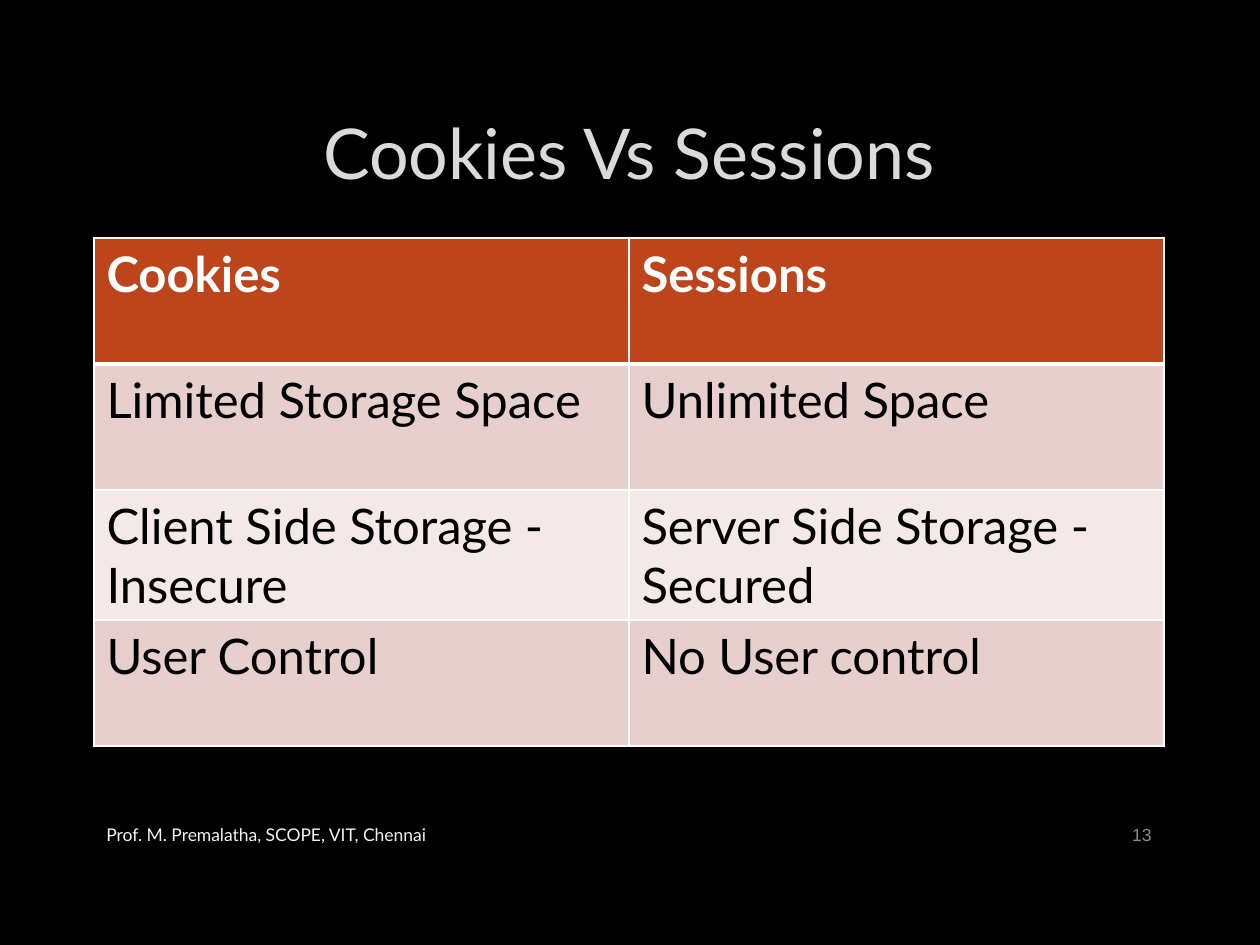
from lxml import etree
from pptx import Presentation
from pptx import util as u
from pptx.dml.color import RGBColor
from pptx.enum import text
from pptx.oxml.ns import qn

TITLE = "Cookies Vs Sessions"
ROWS = [
    ("Cookies", "Sessions"),
    ("Limited Storage Space", "Unlimited Space"),
    ("Client Side Storage - Insecure", "Server Side Storage - Secured"),
    ("User Control", "No User control"),
]
FOOTER = "Prof. M. Premalatha, SCOPE, VIT, Chennai"
PAGE = "13"

BLACK = RGBColor(0, 0, 0)
WHITE = RGBColor(0xFF, 0xFF, 0xFF)
TITLE_GREY = RGBColor(0xDA, 0xDA, 0xDA)
FOOTER_GREY = RGBColor(0xF2, 0xF2, 0xF2)
PAGE_GREY = RGBColor(0x89, 0x89, 0x89)
HEADER_FILL = RGBColor(0xBC, 0x45, 0x1B)
BAND_FILLS = [RGBColor(0xF3, 0xE9, 0xE8), RGBColor(0xE7, 0xCF, 0xCD)]

PX = 914400 // 126
LEFT, WIDTH = 94, 1070
ROW_HEIGHTS = [126, 126, 130, 126]


def px(*lengths):
    return [u.Emu(n * PX) for n in lengths]


def format_text(frame, size, color, font="Lato", align=text.PP_ALIGN.LEFT, bold=False):
    paragraph = frame.paragraphs[0]
    paragraph.alignment = align
    for run in paragraph.runs:
        run.font.name = font
        run.font.size = u.Pt(size)
        run.font.bold = bold
        run.font.color.rgb = color


def add_border(cell, side, points):
    line = etree.SubElement(cell._tc.get_or_add_tcPr(), qn("a:" + side), w=str(u.Pt(points)))
    fill = etree.SubElement(line, qn("a:solidFill"))
    etree.SubElement(fill, qn("a:srgbClr"), val=str(WHITE))


def add_note(slide, words, left, width, **style):
    frame = slide.shapes.add_textbox(*px(left, 810, width, 50)).text_frame
    frame.word_wrap = True
    frame.vertical_anchor = text.MSO_ANCHOR.MIDDLE
    frame.text = words
    format_text(frame, 10, **style)


def main():
    deck = Presentation()
    deck.slide_width, deck.slide_height = px(1260, 945)
    slide = deck.slides.add_slide(deck.slide_layouts[5])
    slide.background.fill.solid()
    slide.background.fill.fore_color.rgb = BLACK

    # Title
    title = slide.shapes.title
    title.left, title.top, title.width, title.height = px(LEFT, 85, WIDTH, 133)
    title.text_frame.text = TITLE
    title.text_frame.vertical_anchor = text.MSO_ANCHOR.MIDDLE
    format_text(title.text_frame, 40, TITLE_GREY, align=text.PP_ALIGN.CENTER)

    # Comparison table
    comparison = slide.shapes.add_table(
        len(ROWS), 2, *px(LEFT, 238, WIDTH, sum(ROW_HEIGHTS))).table
    for column in comparison.columns:
        column.width = px(WIDTH // 2)[0]
    for r, (entries, height) in enumerate(zip(ROWS, ROW_HEIGHTS)):
        comparison.rows[r].height = px(height)[0]
        header = r == 0
        for c, entry in enumerate(entries):
            cell = comparison.cell(r, c)
            cell.text_frame.text = entry
            format_text(cell.text_frame, 28, WHITE if header else BLACK, bold=header)
            # Borders come before the fill in the cell properties
            for side in ("lnL", "lnR", "lnT", "lnB"):
                thick = (r, side) in ((0, "lnB"), (1, "lnT"))
                add_border(cell, side, 3 if thick else 1)
            cell.fill.solid()
            cell.fill.fore_color.rgb = HEADER_FILL if header else BAND_FILLS[r % 2]

    # Footer and page number
    add_note(slide, PAGE, 1086, 78, color=PAGE_GREY, font="Arial", align=text.PP_ALIGN.RIGHT)
    add_note(slide, FOOTER, LEFT, 689, color=FOOTER_GREY)

    deck.save("out.pptx")


if __name__ == "__main__":
    main()
